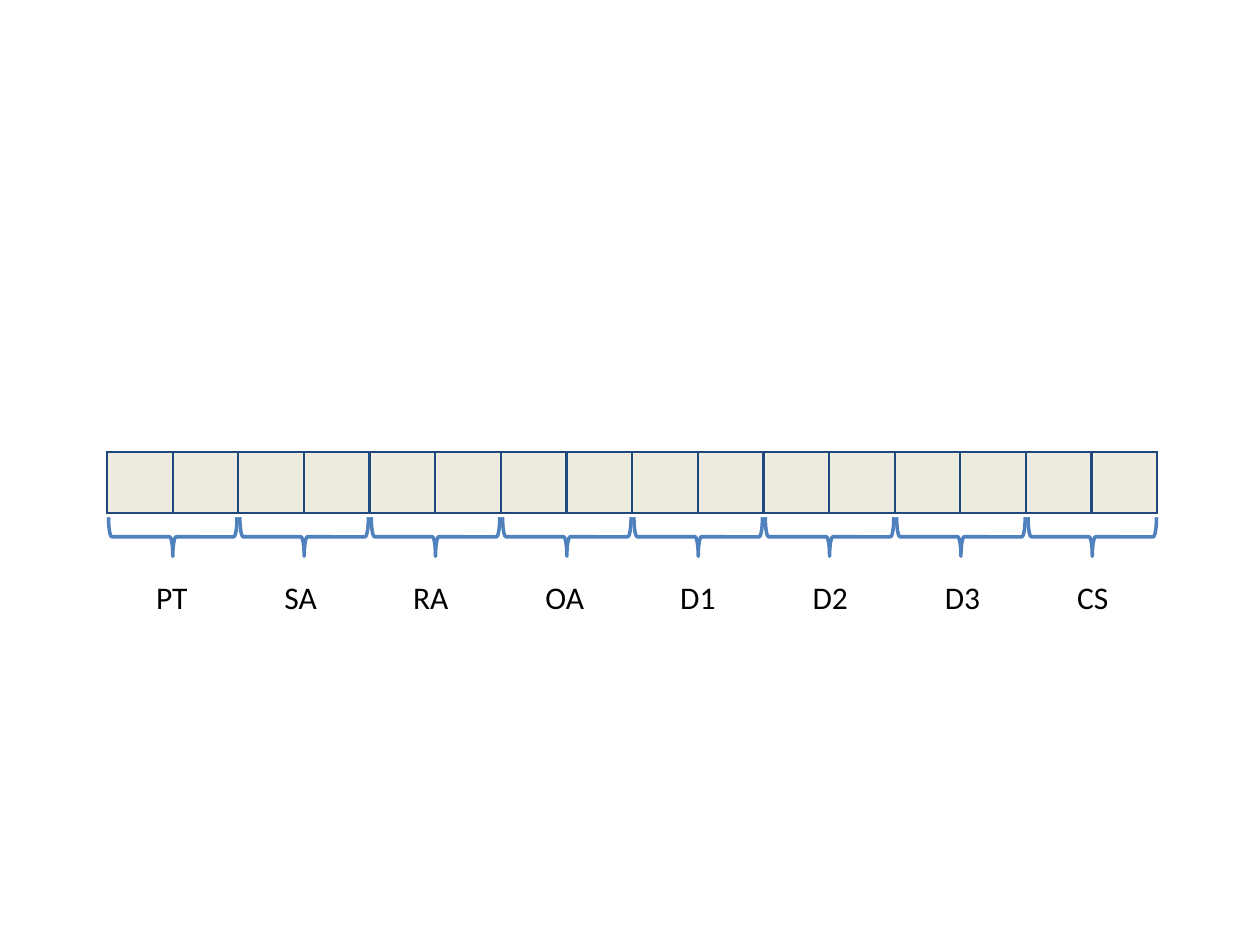
import pptx
import pptx.util
import pptx.dml.color
import pptx.enum.shapes
import pptx.enum.text
import pptx.oxml

Inches = pptx.util.Inches
Pt = pptx.util.Pt
RGBColor = pptx.dml.color.RGBColor

NAVY = RGBColor(0x1F, 0x49, 0x7D)
BLUE = RGBColor(0x4F, 0x81, 0xBD)
CREAM = RGBColor(0xEE, 0xEC, 0xE1)
BLACK = RGBColor(0, 0, 0)

NS = "http://schemas.openxmlformats.org/drawingml/2006/main"
LEFT = 0.85
WIDTH = 8.34
BYTES = 16
LABELS = [
    ("PT", 1.14, 0.45), ("SA", 2.16, 0.46), ("RA", 3.18, 0.48), ("OA", 4.23, 0.51),
    ("D1", 5.3, 0.49), ("D2", 6.35, 0.49), ("D3", 7.4, 0.49), ("CS", 8.45, 0.45),
]


def edge(cell, color, width):
    props = cell._tc.get_or_add_tcPr()
    for spot, side in enumerate(("lnL", "lnR", "lnT", "lnB")):
        props.insert(spot, pptx.oxml.parse_xml(
            f'<a:{side} xmlns:a="{NS}" w="{Pt(width)}"><a:solidFill>'
            f'<a:srgbClr val="{color}"/></a:solidFill></a:{side}>'))


def add_frame(slide):
    frame = slide.shapes.add_table(
        1, BYTES, Inches(LEFT), Inches(3.59), Inches(WIDTH), Inches(0.48))
    table = frame.table
    table.first_row = False
    table.horz_banding = False
    for column in table.columns:
        column.width = Inches(WIDTH / BYTES)
    for cell in table.iter_cells():
        cell.fill.solid()
        cell.fill.fore_color.rgb = CREAM
        edge(cell, NAVY, 1.5)


def add_brace(slide, center):
    depth, span, middle = 0.31, 1.02, 4.26
    brace = slide.shapes.add_shape(
        pptx.enum.shapes.MSO_SHAPE.RIGHT_BRACE,
        Inches(center - depth / 2), Inches(middle - span / 2),
        Inches(depth), Inches(span))
    brace.rotation = 90
    brace.shadow.inherit = False
    brace.fill.background()
    brace.line.color.rgb = BLUE
    brace.line.width = Pt(2)


def add_label(slide, text, left, width):
    box = slide.shapes.add_textbox(
        Inches(left), Inches(4.54), Inches(width), Inches(0.4))
    frame = box.text_frame
    frame.word_wrap = False
    frame.auto_size = pptx.enum.text.MSO_AUTO_SIZE.SHAPE_TO_FIT_TEXT
    run = frame.paragraphs[0].add_run()
    run.text = text
    run.font.name = "Calibri"
    run.font.size = Pt(18)
    run.font.color.rgb = BLACK


def main():
    deck = pptx.Presentation()
    deck.slide_width = Inches(10)
    deck.slide_height = Inches(7.5)
    slide = deck.slides.add_slide(deck.slide_layouts[6])
    add_frame(slide)
    pitch = WIDTH / len(LABELS)
    for index in range(len(LABELS)):
        add_brace(slide, LEFT + pitch * (index + 0.5))
    for text, left, width in LABELS:
        add_label(slide, text, left, width)
    deck.save("out.pptx")


main()
